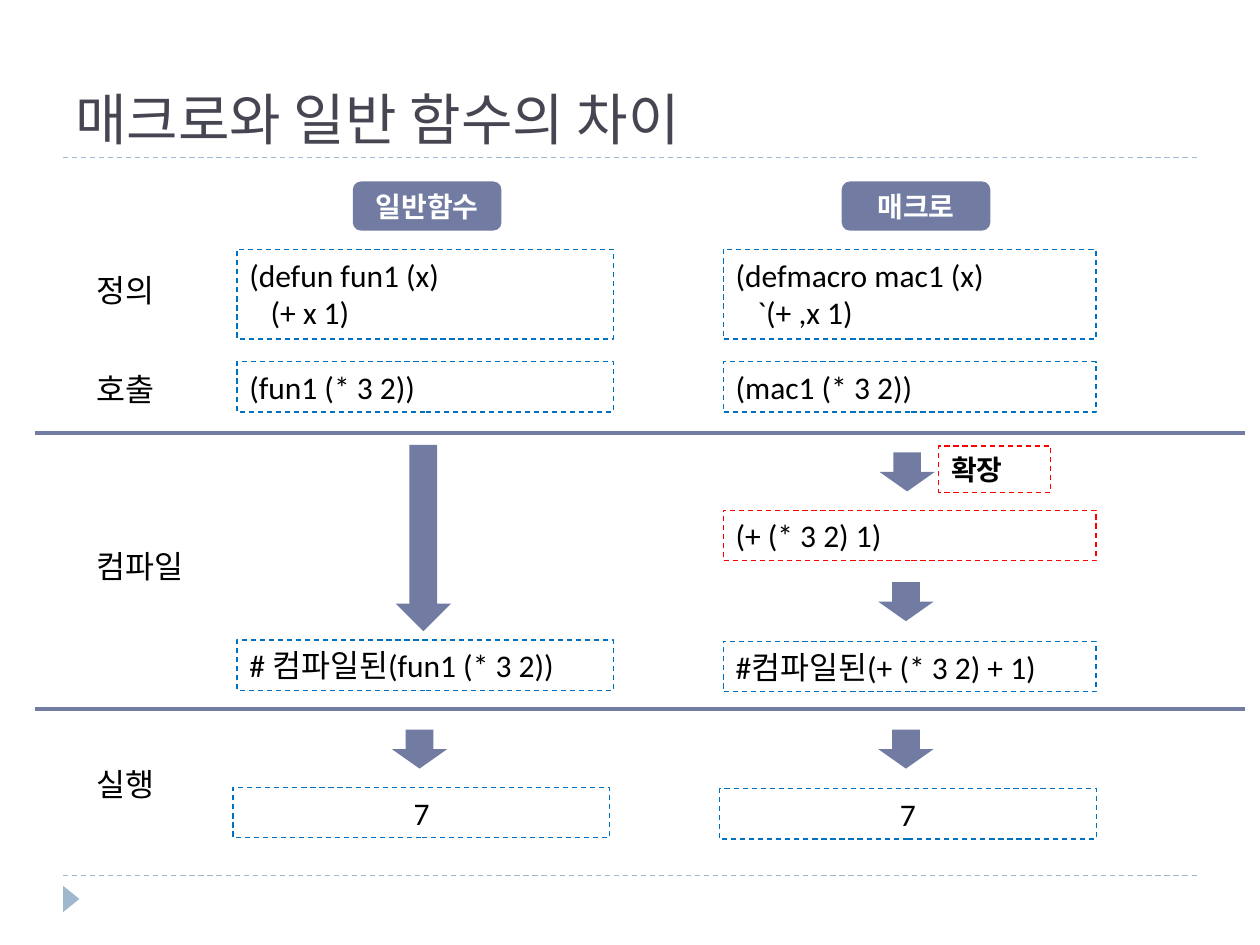
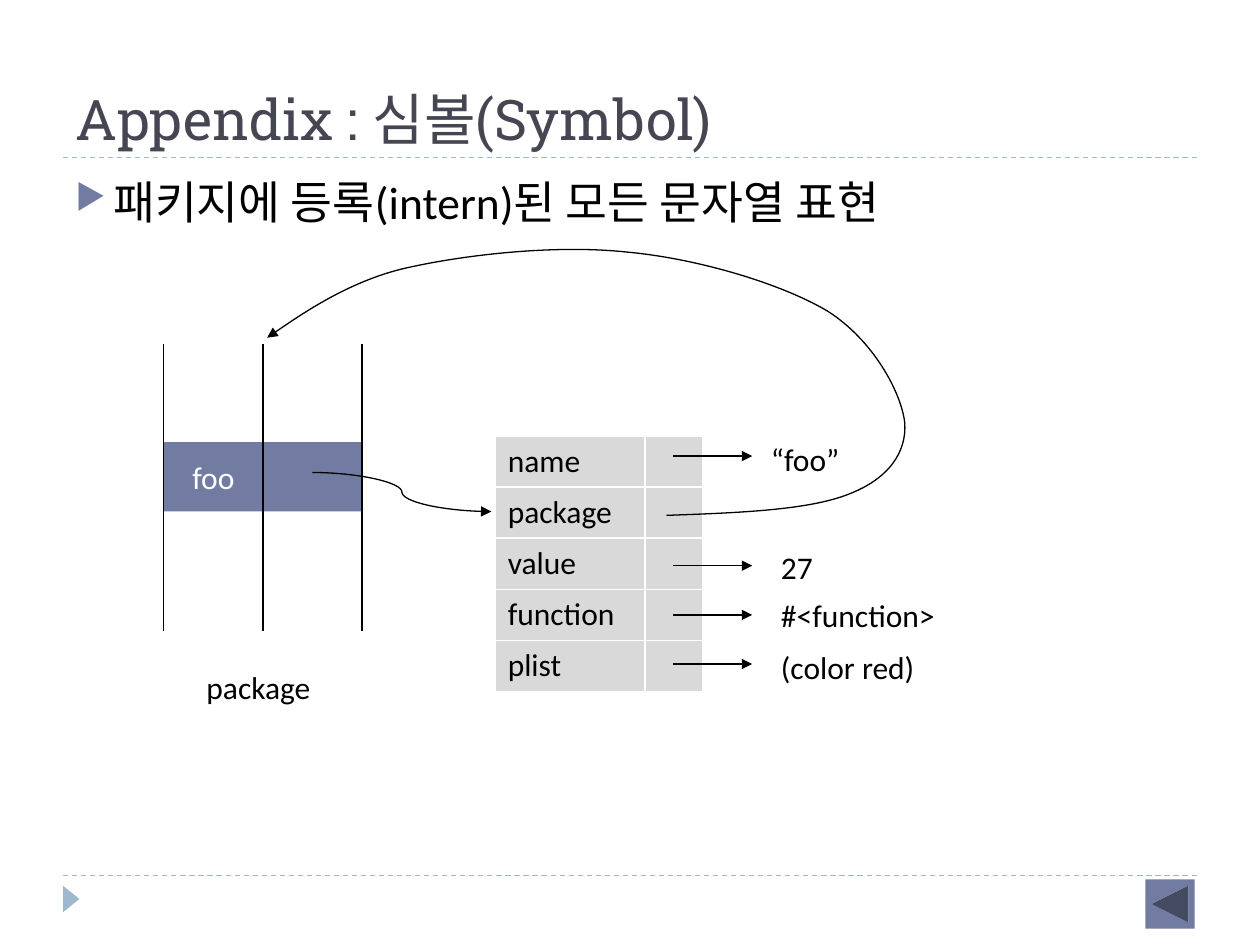
from lxml import etree
from pptx import Presentation
from pptx import util as u
from pptx.dml.color import RGBColor
from pptx.enum import dml, shapes, text
from pptx.oxml.ns import qn

COLORS = {"accent": "727CA3", "pale": "9FB8CD", "title": "464653", "black": "000000",
          "white": "FFFFFF", "blue": "0070C0", "red": "FF0000", "cell": "D9D9D9"}
HEAD_FONT, BODY_FONT = "Roboto Slab", "Calibri"
COLS, ROWS = 100, 75  # grid over the slide
SHAPE, ALIGN, ANCHOR = shapes.MSO_SHAPE, text.PP_ALIGN, text.MSO_ANCHOR


def rgb(name):
    return RGBColor.from_string(COLORS[name])


class Deck:
    def __init__(self):
        self.prs = Presentation()
        self.prs.slide_width, self.prs.slide_height = u.Inches(10), u.Inches(7.5)
        self.s = None

    def x(self, cols):
        return u.Emu(round(self.prs.slide_width * cols / COLS))

    def y(self, rows):
        return u.Emu(round(self.prs.slide_height * rows / ROWS))

    def box(self, at):
        left, top, width, height = at
        return self.x(left), self.y(top), self.x(width), self.y(height)

    def slide(self, title):
        """New slide with the shared rules, corner mark and title."""
        self.s = self.prs.slides.add_slide(self.prs.slide_layouts[6])
        for row in (69.5, 12.5):
            self.line((5, row), (95, row), "pale", dash=True)
        self.shape(SHAPE.ISOSCELES_TRIANGLE, (4.6, 70.7, 2.1, 1.3), "pale").rotation = 90
        self.label((5, 1.7, 90, 10.8), title, size=32, font=HEAD_FONT, color="title",
                   anchor=ANCHOR.BOTTOM, grow=False)

    def fill_text(self, tf, lines, size=18, color="black", bold=False, font=BODY_FONT,
                  align=ALIGN.LEFT, anchor=ANCHOR.TOP, grow=False):
        """Fill a text frame; each line is a string or (string, indent in columns)."""
        tf.word_wrap = True
        tf.vertical_anchor = anchor
        if grow:
            tf.auto_size = text.MSO_AUTO_SIZE.SHAPE_TO_FIT_TEXT
        for i, line in enumerate([lines] if isinstance(lines, str) else lines):
            words, indent = (line, 0) if isinstance(line, str) else line
            p = tf.add_paragraph() if i else tf.paragraphs[0]
            p.alignment = align
            if indent:
                p._p.get_or_add_pPr().set("marL", str(self.x(indent)))
            r = p.add_run()
            r.text = words
            r.font.name, r.font.size, r.font.bold = font, u.Pt(size), bold
            r.font.color.rgb = rgb(color)

    def label(self, at, lines, grow=True, **style):
        sp = self.s.shapes.add_textbox(*self.box(at))
        self.fill_text(sp.text_frame, lines, grow=grow, **style)
        return sp

    def bullet(self, at, words):
        p = self.label(at, words, size=26, grow=False).text_frame.paragraphs[0]
        p.space_before = u.Pt(6)
        pPr = p._p.get_or_add_pPr()
        pPr.set("marL", str(self.x(3)))
        pPr.set("indent", str(-self.x(3)))
        clr = etree.SubElement(pPr, qn("a:buClr"))
        etree.SubElement(clr, qn("a:srgbClr"), val=COLORS["accent"])
        etree.SubElement(pPr, qn("a:buSzPct"), val="76000")
        etree.SubElement(pPr, qn("a:buChar"), char="▶")

    def shape(self, kind, at, fill, words=None, **style):
        sp = self.s.shapes.add_shape(kind, *self.box(at))
        sp.shadow.inherit = False
        sp.fill.solid()
        sp.fill.fore_color.rgb = rgb(fill)
        sp.line.fill.background()
        if words:
            self.fill_text(sp.text_frame, words, color="white", align=ALIGN.CENTER,
                           anchor=ANCHOR.MIDDLE, **style)
        return sp

    def code(self, at, lines, edge="blue", **style):
        """Dashed, unfilled code box."""
        sp = self.s.shapes.add_shape(SHAPE.RECTANGLE, *self.box(at))
        sp.shadow.inherit = False
        sp.fill.background()
        self.stroke(sp.line, edge, 0.75, dash=True)
        self.fill_text(sp.text_frame, lines, grow=True, **style)

    def stroke(self, line, color, width, dash=False, arrow=False):
        line.color.rgb = rgb(color)
        line.width = u.Pt(width)
        if dash:
            line.dash_style = dml.MSO_LINE.DASH
        if arrow:
            etree.SubElement(line._get_or_add_ln(), qn("a:tailEnd"), type="triangle")

    def line(self, start, end, color="black", width=0.75, curved=False, **style):
        kind = shapes.MSO_CONNECTOR.CURVE if curved else shapes.MSO_CONNECTOR.STRAIGHT
        c = self.s.shapes.add_connector(kind, self.x(start[0]), self.y(start[1]),
                                        self.x(end[0]), self.y(end[1]))
        self.stroke(c.line, color, width, **style)
        etree.SubElement(c._element.spPr, qn("a:effectLst"))

    def curve(self, points):
        """Bezier arrow: a start point, then three points for each piece."""
        pts = [(self.x(px), self.y(py)) for px, py in points]
        fb = self.s.shapes.build_freeform(*pts[0])
        fb.add_line_segments(pts[1:], close=False)
        sp = fb.convert_to_shape()
        steps = list(sp._element.iter(qn("a:lnTo")))
        for i in range(0, len(steps), 3):
            bezier = etree.Element(qn("a:cubicBezTo"))
            steps[i].addprevious(bezier)
            for step in steps[i:i + 3]:
                bezier.append(step[0])
                step.getparent().remove(step)
        sp.shadow.inherit = False
        sp.fill.background()
        self.stroke(sp.line, "black", 0.75, arrow=True)

    def table(self, at, widths, rows):
        t = self.s.shapes.add_table(len(rows), len(widths), *self.box(at)).table
        t.horz_banding = False
        for col, width in zip(t.columns, widths):
            col.width = self.x(width)
        for i, row in enumerate(rows):
            for j, words in enumerate(row):
                cell = t.cell(i, j)
                cell.fill.solid()
                cell.fill.fore_color.rgb = rgb("cell")
                if words:
                    self.fill_text(cell.text_frame, words)


d = Deck()

# Slide 1: functions and macros, stage by stage
d.slide("매크로와 일반 함수의 차이")
for row, stage in ((21, "정의"), (28.9, "호출"), (42.9, "컴파일"), (60.2, "실행")):
    d.label((6.7, row, 11, 4), stage)
for row in (34.4, 56.3):
    d.line((2.8, row), (98.8, row), "accent", 2.25)

COLUMNS = (  # left, width, heading left, heading, definition, call, compiled, compiled row
    (18.8, 29.9, 28, "일반함수", ["(defun fun1 (x)", ("(+ x 1)", 1.7)],
     "(fun1 (* 3 2))", "# 컴파일된(fun1 (* 3 2))", 50.8),
    (57.4, 29.6, 66.8, "매크로", ["(defmacro mac1 (x)", ("`(+ ,x 1)", 1.7)],
     "(mac1 (* 3 2))", "#컴파일된(+ (* 3 2) + 1)", 50.9),
)
for left, width, head_left, head, definition, call, compiled, row in COLUMNS:
    d.shape(SHAPE.ROUNDED_RECTANGLE, (head_left, 14.4, 11.8, 3.9), "accent", head,
            size=16, bold=True)
    d.code((left, 19.8, width, 7.1), definition)
    d.code((left, 28.7, width, 4), call)
    d.code((left, row, width, 4), compiled)
    d.code((left - 0.3, row + 11.7, 29.9, 4), "7", align=ALIGN.CENTER)
    d.shape(SHAPE.DOWN_ARROW, (left + 12.3, 57.9, 4.4, 3.1), "accent")

# Compile stage: one step for the function, two for the macro
for at in ((31.4, 35.3, 4.4, 14.8), (69.8, 35.9, 4.4, 3.1), (69.7, 46.2, 4.4, 3.1)):
    d.shape(SHAPE.DOWN_ARROW, at, "accent")
d.code((74.5, 35.4, 8.9, 3.7), "확장", "red", size=16, bold=True)
d.code((57.4, 40.5, 29.6, 4), "(+ (* 3 2) 1)", "red")

# Slide 2: what a symbol holds
d.slide("Appendix : 심볼(Symbol)")
d.bullet((5, 13.3, 90, 54), "패키지에 등록(intern)된 모든 문자열 표현")
d.shape(SHAPE.ACTION_BUTTON_BACK_OR_PREVIOUS, (90.9, 69.8, 3.9, 3.9), "accent")

# Package with its entry
LEFT, WIDTH = 13, 7.87
for i, words in enumerate(("foo", None)):
    d.shape(SHAPE.RECTANGLE, (LEFT + i * WIDTH, 35.1, WIDTH, 5.5), "accent", words)
for i in range(3):
    d.line((LEFT + i * WIDTH, 27.3), (LEFT + i * WIDTH, 50.1))
d.label((15.4, 52.5, 13.4, 4), "package")
d.line((24.8, 37.5), (39, 40.6), curved=True, arrow=True)

# Symbol cells and what they point at
FIELDS = ("name", "package", "value", "function", "plist")
d.table((39.3, 34.6, 16.5, 20.3), (11.9, 4.6), [(field, None) for field in FIELDS])
for arrow_row, left, top, width, words in (
        (36.2, 60.2, 34.4, 8.7, "“foo”"), (44.9, 61, 43, 11, "27"),
        (48.8, 61, 46.8, 15, "#<function>"), (52.7, 61, 50.9, 15, "(color red)")):
    d.line((53.4, arrow_row), (59.7, arrow_row), arrow=True)
    d.label((left, top, width, 4), words)

# Way back from the symbol to its package
d.curve([(52.9, 40.9),
         (58.5, 40.7), (64.2, 40.5), (67.4, 39.2),
         (70.5, 38), (72, 35.9), (71.8, 33.5),
         (71.5, 31.1), (69.3, 27), (65.7, 24.7),
         (62, 22.5), (55.3, 20.5), (49.7, 20),
         (44.1, 19.4), (36.9, 20.2), (32.1, 21.3),
         (27.4, 22.4), (21.2, 26.8), (21.2, 26.8)])

d.prs.save("out.pptx")
